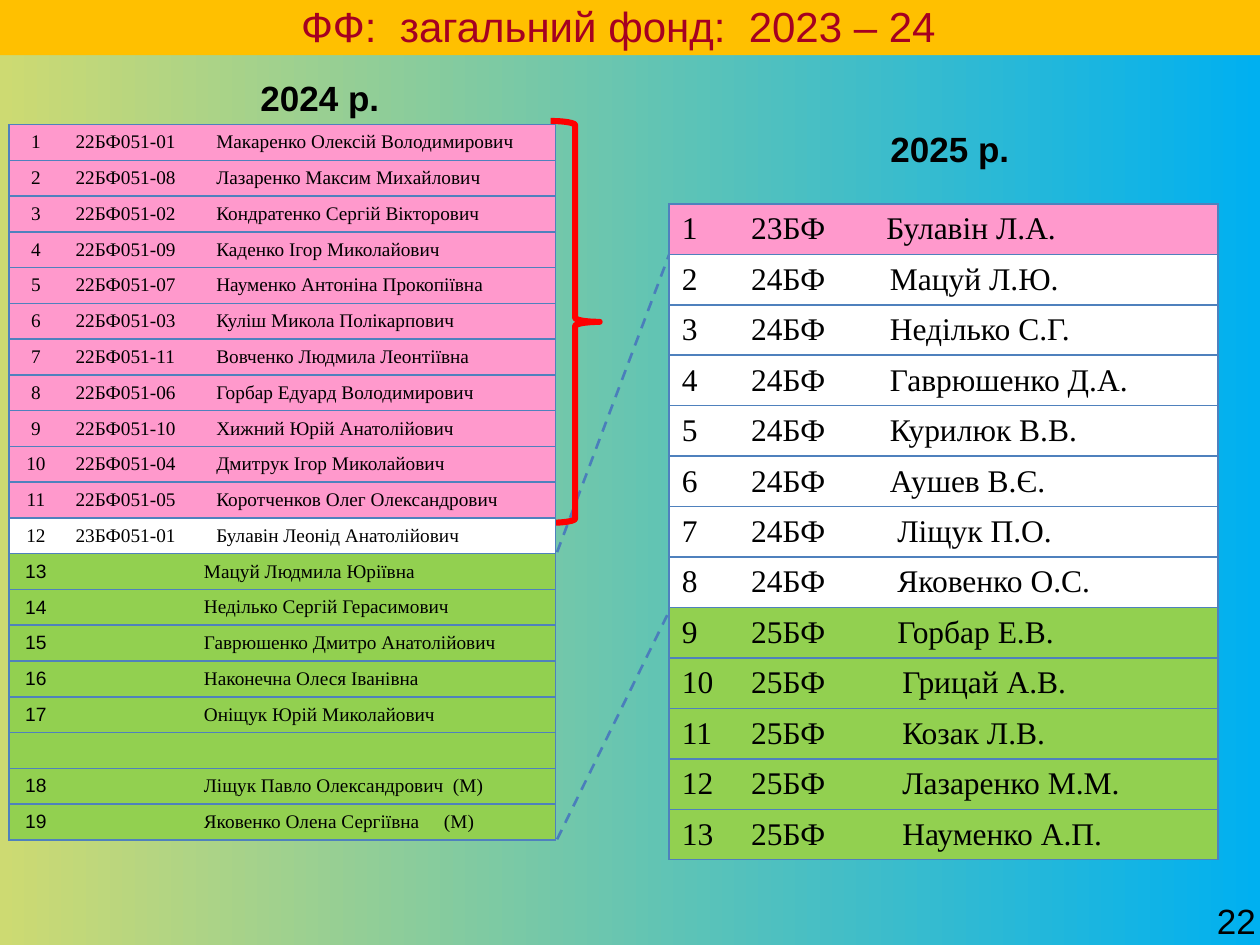
from dataclasses import dataclass

from lxml import etree
from pptx import Presentation
from pptx.dml.color import RGBColor
from pptx.enum.dml import MSO_LINE
from pptx.enum.shapes import MSO_CONNECTOR, MSO_SHAPE
from pptx.enum.text import MSO_ANCHOR, MSO_AUTO_SIZE, PP_ALIGN
from pptx.oxml.ns import qn
from pptx.util import Cm, Pt

LEFT, CENTER = PP_ALIGN.LEFT, PP_ALIGN.CENTER
MIDDLE = MSO_ANCHOR.MIDDLE
FIXED = MSO_AUTO_SIZE.NONE
DASH = MSO_LINE.DASH
STRAIGHT = MSO_CONNECTOR.STRAIGHT
BRACE = MSO_SHAPE.RIGHT_BRACE


@dataclass(frozen=True)
class Theme:
    sans: str = "Arial"
    serif: str = "Times New Roman"
    ink: str = "000000"
    title: str = "A50021"
    band: str = "FFC000"
    start: str = "CDDA72"
    end: str = "00B0F0"
    pink: str = "FF99CC"
    white: str = "FFFFFF"
    green: str = "92D050"
    edge: str = "4F81BD"
    link: str = "4A7EBB"
    brace: str = "FF0000"
    big: float = 24
    head: float = 20
    mid: float = 18
    small: float = 11


T = Theme()


@dataclass(frozen=True)
class Row:
    num: str
    code: str
    name: str
    fill: str
    inset: float = 0.25
    font: str = T.serif


@dataclass(frozen=True)
class Grid:
    x: float
    y: float
    cols: tuple
    height: float
    size: float
    align: PP_ALIGN
    rows: list


OLD = [
    ("22БФ051-01", "Макаренко Олексій Володимирович"),
    ("22БФ051-08", "Лазаренко Максим Михайлович"),
    ("22БФ051-02", "Кондратенко Сергій Вікторович"),
    ("22БФ051-09", "Каденко Ігор Миколайович"),
    ("22БФ051-07", "Науменко Антоніна Прокопіївна"),
    ("22БФ051-03", "Куліш Микола Полікарпович"),
    ("22БФ051-11", "Вовченко Людмила Леонтіївна"),
    ("22БФ051-06", "Горбар Едуард Володимирович"),
    ("22БФ051-10", "Хижний Юрій Анатолійович"),
    ("22БФ051-04", "Дмитрук Ігор Миколайович"),
    ("22БФ051-05", "Коротченков Олег Олександрович"),
    ("23БФ051-01", "Булавін Леонід Анатолійович"),
]
NEW = [
    ("13", "Мацуй Людмила Юріївна"),
    ("14", "Неділько Сергій Герасимович"),
    ("15", "Гаврюшенко Дмитро Анатолійович"),
    ("16", "Наконечна Олеся Іванівна"),
    ("17", "Оніщук Юрій Миколайович"),
    ("", ""),
    ("18", "Ліщук Павло Олександрович  (M)"),
    ("19", "Яковенко Олена Сергіївна\t(M)"),
]
# Year code, fill, name inset, names
NEXT = [
    ("23БФ", T.pink, 0.41, ["Булавін Л.А."]),
    ("24БФ", T.white, 0.48, ["Мацуй Л.Ю.", "Неділько С.Г.", "Гаврюшенко Д.А.",
                             "Курилюк В.В.", "Аушев В.Є."]),
    ("24БФ", T.white, 0.63, ["Ліщук П.О.", "Яковенко О.С."]),
    ("25БФ", T.green, 0.63, ["Горбар Е.В."]),
    ("25БФ", T.green, 0.73, ["Грицай А.В.", "Козак Л.В.", "Лазаренко М.М.",
                             "Науменко А.П."]),
]


def rgb(code: str) -> RGBColor:
    return RGBColor.from_string(code)


def write(frame, text: str, *, size: float, font: str = T.sans,
          color: str = T.ink, bold: bool = False, align: PP_ALIGN = LEFT) -> None:
    para = frame.paragraphs[0]
    para.alignment = align
    if not text:
        etree.SubElement(para._p, qn("a:endParaRPr"), sz=str(int(size * 100)))
        return
    if "\t" in text:
        tabs = etree.SubElement(para._p.get_or_add_pPr(), qn("a:tabLst"))
        etree.SubElement(tabs, qn("a:tab"), pos=str(Cm(4.84)), algn="l")
    run = para.add_run()
    run.text = text
    run.font.size, run.font.name, run.font.bold = Pt(size), font, bold
    run.font.color.rgb = rgb(color)


def border(cell, sides: str) -> None:
    """Line the named sides (of L, R, T, B) and clear the others."""
    props = cell._tc.get_or_add_tcPr()
    for spot, side in enumerate("LRTB"):
        line = etree.Element(qn(f"a:ln{side}"), w=str(Pt(0.96)))
        if side in sides:
            fill = etree.SubElement(line, qn("a:solidFill"))
            etree.SubElement(fill, qn("a:srgbClr"), val=T.edge)
        else:
            etree.SubElement(line, qn("a:noFill"))
        props.insert(spot, line)


def draw_grid(slide, grid: Grid) -> None:
    count = len(grid.rows)
    table = slide.shapes.add_table(
        count, 3, Cm(grid.x), Cm(grid.y), Cm(sum(grid.cols)),
        Cm(grid.height * count)).table
    table.first_row = table.horz_banding = False
    for col, width in zip(table.columns, grid.cols):
        col.width = Cm(width)
    for line, row in zip(table.rows, grid.rows):
        line.height = Cm(grid.height)
        num, code, name = line.cells
        name.margin_left = Cm(row.inset)
        for cell, text, font, align, sides in (
                (num, row.num, row.font, grid.align, "LTB"),
                (code, row.code, T.serif, LEFT, "TB"),
                (name, row.name, T.serif, LEFT, "RTB")):
            cell.vertical_anchor = MIDDLE
            cell.fill.solid()
            cell.fill.fore_color.rgb = rgb(row.fill)
            border(cell, sides)
            write(cell.text_frame, text, size=grid.size, font=font, align=align)


def label(slide, text: str, x: float, y: float, wide: float, high: float,
          bold: bool, wrap: bool) -> None:
    box = slide.shapes.add_textbox(Cm(x), Cm(y), Cm(wide), Cm(high))
    box.text_frame.word_wrap = wrap
    write(box.text_frame, text, size=T.head, bold=bold)


def link(slide, top: float, base: float) -> None:
    """Join the left table at height base to the right one at height top."""
    line = slide.shapes.add_connector(
        STRAIGHT, Cm(11.23), Cm(base), Cm(13.49), Cm(top))
    line.line.color.rgb = rgb(T.link)
    line.line.width, line.line.dash_style = Pt(1.5), DASH
    etree.SubElement(line._element.spPr, qn("a:effectLst"))


def draw_brace(slide) -> None:
    brace = slide.shapes.add_shape(BRACE, Cm(11.1), Cm(2.44), Cm(0.99), Cm(8.1))
    brace.shadow.inherit = False
    brace.fill.background()
    brace.line.color.rgb = rgb(T.brace)
    brace.line.width = Pt(3.5)


def draw_title(slide) -> None:
    title = slide.shapes.title
    title.left, title.top, title.width, title.height = (
        Cm(0), Cm(-0.08), Cm(25.4), Cm(1.19))
    title.fill.solid()
    title.fill.fore_color.rgb = rgb(T.band)
    frame = title.text_frame
    frame.auto_size, frame.vertical_anchor = FIXED, MIDDLE
    frame.margin_right = Cm(0.72)
    write(frame, "ФФ:  загальний фонд:  2023 – 24", size=T.big,
          color=T.title, align=CENTER)


def main() -> None:
    deck = Presentation()
    deck.slide_width, deck.slide_height = Cm(25.4), Cm(19.05)
    slide = deck.slides.add_slide(deck.slide_layouts[5])
    back = slide.background.fill
    back.gradient()
    back.gradient_angle = 0
    for stop, color in zip(back.gradient_stops, (T.start, T.end)):
        stop.color.rgb = rgb(color)

    draw_title(slide)
    label(slide, "22", 24.28, 18.01, 2.03, 1.32, False, True)
    label(slide, "2024 р.", 5, 1.42, 2.92, 1.12, True, False)
    label(slide, "2025 р.", 17.7, 2.44, 2.92, 1.12, True, False)
    link(slide, 5.13, 11.13)
    link(slide, 12.32, 16.92)
    draw_brace(slide)

    now = [Row(str(n), code, name, T.pink if n < len(OLD) else T.white)
           for n, (code, name) in enumerate(OLD, 1)]
    now += [Row(num, "", name, T.green, 0, T.sans) for num, name in NEW]
    flat = [(code, name, fill, inset)
            for code, fill, inset, names in NEXT for name in names]
    later = [Row(str(n), *item) for n, item in enumerate(flat, 1)]
    draw_grid(slide, Grid(13.49, 4.11, (1.4, 2.57, 7.09), 13.21 / len(later),
                          T.mid, LEFT, later))
    draw_grid(slide, Grid(0.18, 2.51, (1.09, 2.84, 7.09), 0.72,
                          T.small, CENTER, now))
    deck.save("out.pptx")


if __name__ == "__main__":
    main()
